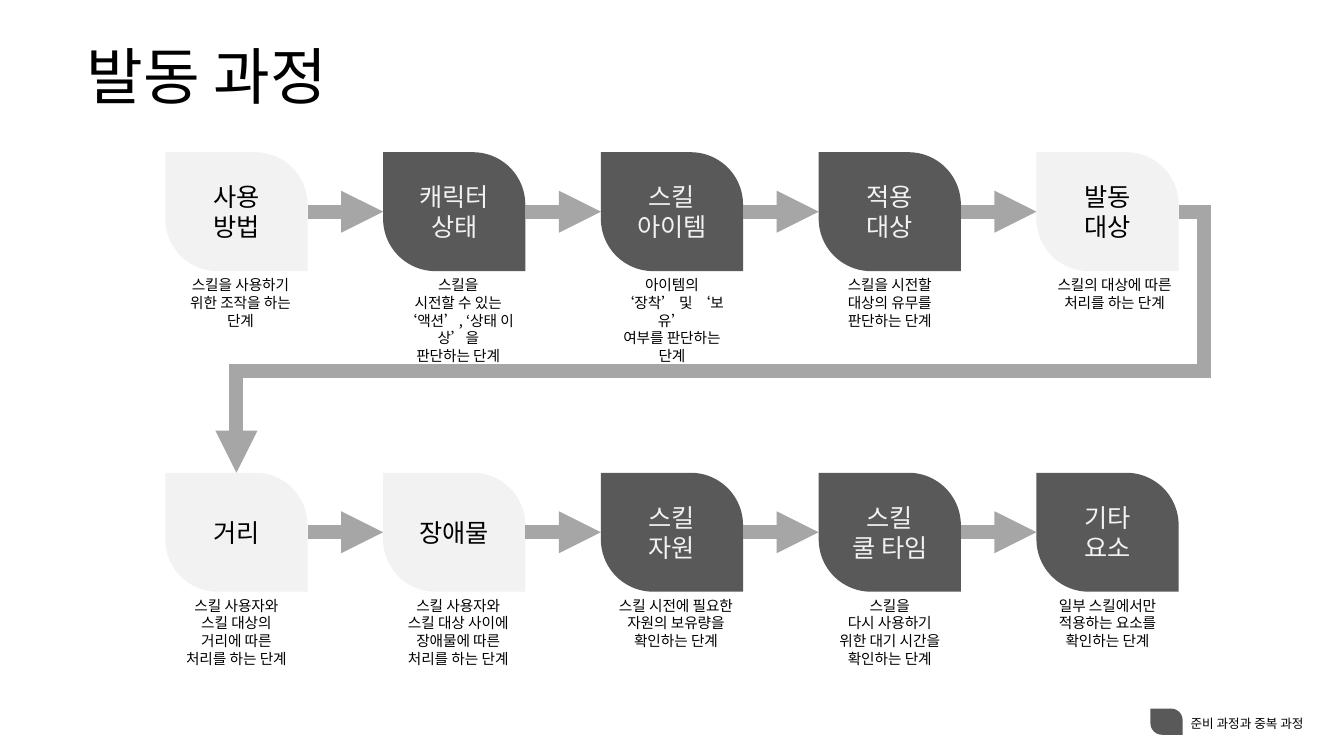
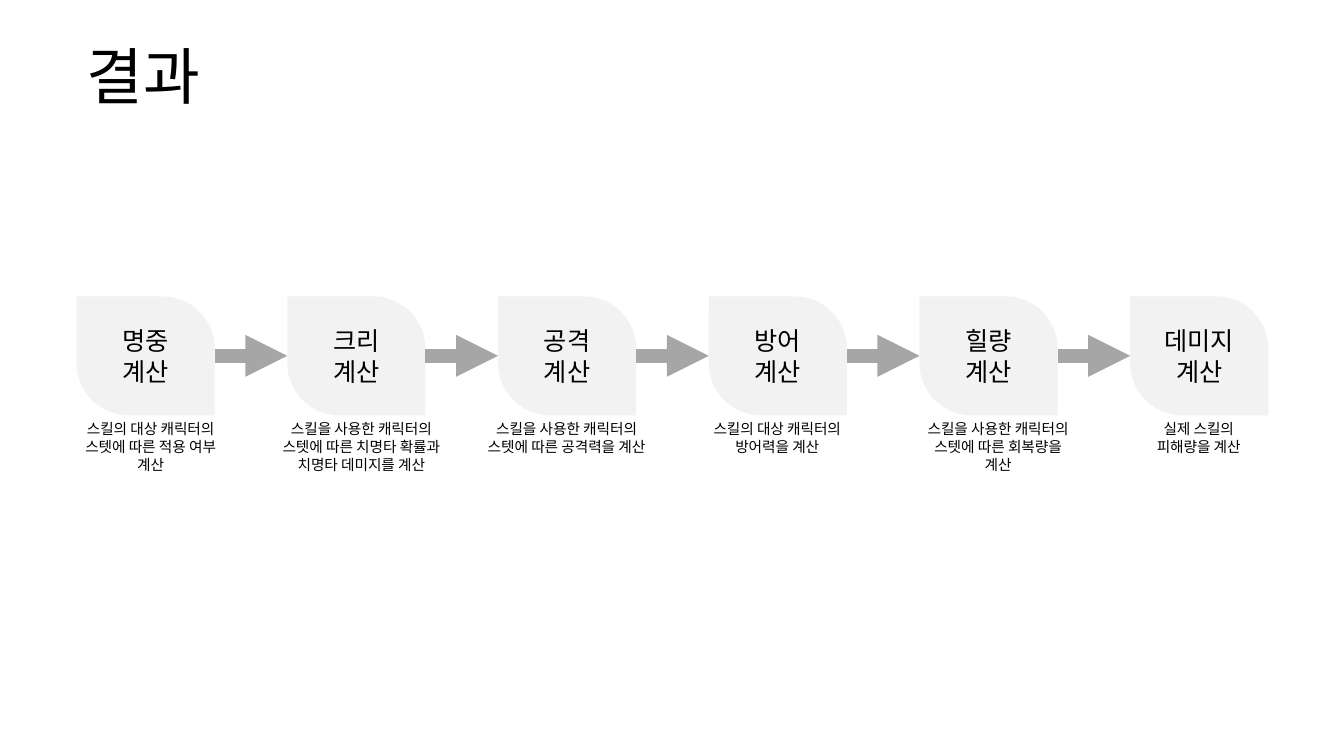
from dataclasses import dataclass

from lxml.etree import SubElement
from pptx import Presentation
from pptx.dml.color import RGBColor
from pptx.enum.shapes import MSO_CONNECTOR, MSO_SHAPE
from pptx.enum.text import MSO_ANCHOR, MSO_AUTO_SIZE, PP_ALIGN
from pptx.oxml.ns import qn
from pptx.util import Inches, Pt


@dataclass(frozen=True)
class Theme:
    """Colours, font and type sizes of the deck."""
    font: str = "Noto Sans CJK KR"
    ink: str = "000000"
    light: str = "F2F2F2"
    dark: str = "595959"
    arrow: str = "A6A6A6"
    title: float = 44
    label: float = 18
    caption: float = 10.5
    legend: float = 9
    stroke: float = 10
    corner: float = 0.44


@dataclass(frozen=True)
class Grid:
    """Columns and rows that place the steps, in inches."""
    left: float
    top: float
    col: float
    row: float
    w: float
    h: float = 1.18
    caption_dx: float = 0

    def x(self, c):
        """Left edge of a column."""
        return self.left + c * self.col

    def y(self, r):
        """Top edge of a row."""
        return self.top + r * self.row

    def mid(self, r):
        """Middle height of a row."""
        return self.y(r) + self.h / 2


class Deck:
    """Holds the theme and the current slide, and draws its elements."""

    def __init__(self, theme):
        """Start an empty widescreen presentation."""
        self.theme = theme
        self.prs = Presentation()
        self.prs.slide_width = Inches(13.33)
        self.prs.slide_height = Inches(7.5)

    def slide(self, title):
        """Add a blank slide with its title."""
        self.s = self.prs.slides.add_slide(self.prs.slide_layouts[6])
        sp = self.text(0.76, 0.32, 11.81, 0.94, [title], self.theme.title)
        sp.text_frame.vertical_anchor = MSO_ANCHOR.MIDDLE
        sp.text_frame.paragraphs[0].line_spacing = 0.9

    def add_lines(self, tf, lines, size, color, align):
        """Fill a text frame, one paragraph a line."""
        tf.word_wrap = True
        for i, line in enumerate(lines):
            p = tf.add_paragraph() if i else tf.paragraphs[0]
            p.alignment = align
            r = p.add_run()
            r.text = line
            r.font.size = Pt(size)
            r.font.color.rgb = RGBColor.from_string(color)
            r.font.name = self.theme.font
            SubElement(r._r.get_or_add_rPr(), qn("a:ea"), typeface=self.theme.font)

    def text(self, x, y, w, h, lines, size, align=PP_ALIGN.LEFT):
        """Add a text box."""
        sp = self.s.shapes.add_textbox(*map(Inches, (x, y, w, h)))
        self.add_lines(sp.text_frame, lines, size, self.theme.ink, align)
        return sp

    def leaf(self, x, y, w, h, dark, lines=()):
        """Add a leaf shape with a centred label."""
        t = self.theme
        sp = self.s.shapes.add_shape(MSO_SHAPE.ROUND_2_DIAG_RECTANGLE, *map(Inches, (x, y, w, h)))
        sp.adjustments[0], sp.adjustments[1] = 0, t.corner
        sp.shadow.inherit = False
        sp.fill.solid()
        sp.fill.fore_color.rgb = RGBColor.from_string(t.dark if dark else t.light)
        sp.line.fill.background()
        sp.text_frame.vertical_anchor = MSO_ANCHOR.MIDDLE
        self.add_lines(sp.text_frame, lines, t.label, t.light if dark else t.ink, PP_ALIGN.CENTER)
        return sp

    def arrow_line(self, sp):
        """Give a line the arrow stroke and head."""
        sp.line.width = Pt(self.theme.stroke)
        sp.line.color.rgb = RGBColor.from_string(self.theme.arrow)
        ln = sp.line._get_or_add_ln()
        SubElement(ln, qn("a:miter"), lim="800000")
        SubElement(ln, qn("a:tailEnd"), type="triangle")

    def arrow(self, x1, x2, y):
        """Add a level arrow between two steps."""
        sp = self.s.shapes.add_connector(MSO_CONNECTOR.STRAIGHT, *map(Inches, (x1, y, x2, y)))
        self.arrow_line(sp)
        SubElement(sp._element.spPr, qn("a:effectLst"))

    def bent_arrow(self, points):
        """Add an arrow that runs through several points."""
        start, *rest = [(Inches(x), Inches(y)) for x, y in points]
        fb = self.s.shapes.build_freeform(*start)
        fb.add_line_segments(rest, close=False)
        sp = fb.convert_to_shape()
        sp.fill.background()
        sp.shadow.inherit = False
        self.arrow_line(sp)

    def flow(self, grid, row, steps):
        """Draw a row of steps with captions and arrows."""
        y = grid.y(row)
        for c, (label, caption, width, dark) in enumerate(steps):
            x = grid.x(c)
            self.leaf(x, y, grid.w, grid.h, dark, label)
            sp = self.text(x + grid.caption_dx, y + grid.h, width, 0.09 + 0.18 * len(caption),
                           caption, self.theme.caption, PP_ALIGN.CENTER)
            sp.text_frame.auto_size = MSO_AUTO_SIZE.SHAPE_TO_FIT_TEXT
            if c:
                self.arrow(grid.x(c - 1) + grid.w, x, grid.mid(row))

    def legend(self, label):
        """Add the key to the dark steps."""
        key = self.leaf(11.41, 7.03, 0.32, 0.26, True)
        sp = self.text(11.71, 7.05, 1.49, 0.25, [label], self.theme.legend)
        self.s.shapes.add_group_shape([key, sp])


CHECKS = [
    (["사용", "방법"], ["스킬을 사용하기", "위한 조작을 하는", "단계"], 1.49, False),
    (["캐릭터", "상태"], ["스킬을", "시전할 수 있는", "‘액션’, ‘상태 이상’을", "판단하는 단계"], 1.49, True),
    (["스킬", "아이템"], ["아이템의", "‘장착’ 및 ‘보유’", "여부를 판단하는 단계"], 1.41, True),
    (["적용", "대상"], ["스킬을 시전할", "대상의 유무를", "판단하는 단계"], 1.41, True),
    (["발동", "대상"], ["스킬의 대상에 따른", "처리를 하는 단계"], 1.55, False),
]
CONDITIONS = [
    (["거리"], ["스킬 사용자와", "스킬 대상의", "거리에 따른", "처리를 하는 단계"], 1.41, False),
    (["장애물"], ["스킬 사용자와", "스킬 대상 사이에", "장애물에 따른", "처리를 하는 단계"], 1.49, False),
    (["스킬", "자원"], ["스킬 시전에 필요한 자원의 보유량을", "확인하는 단계"], 1.49, True),
    (["스킬", "쿨 타임"], ["스킬을", "다시 사용하기", "위한 대기 시간을", "확인하는 단계"], 1.41, True),
    (["기타", "요소"], ["일부 스킬에서만 적용하는 요소를", "확인하는 단계"], 1.41, True),
]
RESULTS = [
    (["명중", "계산"], ["스킬의 대상 캐릭터의", "스텟에 따른 적용 여부", "계산"], 2.07, False),
    (["크리", "계산"], ["스킬을 사용한 캐릭터의", "스텟에 따른 치명타 확률과", "치명타 데미지를 계산"], 2.07, False),
    (["공격", "계산"], ["스킬을 사용한 캐릭터의", "스텟에 따른 공격력을 계산"], 1.96, False),
    (["방어", "계산"], ["스킬의 대상 캐릭터의", "방어력을 계산"], 1.96, False),
    (["힐량", "계산"], ["스킬을 사용한 캐릭터의", "스텟에 따른 회복량을", "계산"], 2.16, False),
    (["데미지", "계산"], ["실제 스킬의", "피해량을 계산"], 1.96, False),
]


def main():
    """Build and save the deck."""
    deck = Deck(Theme())

    deck.slide("발동 과정")
    grid = Grid(left=1.64, top=1.51, col=2.16, row=3.18, w=1.41)
    deck.flow(grid, 0, CHECKS)
    deck.flow(grid, 1, CONDITIONS)
    right, turn, first = grid.x(4) + grid.w, 3.68, grid.x(0) + grid.w / 2
    deck.bent_arrow([(right, grid.mid(0)), (right + 0.25, grid.mid(0)),
                     (right + 0.25, turn), (first, turn), (first, grid.y(1))])
    deck.legend("준비 과정과 중복 과정")

    deck.slide("결과")
    deck.flow(Grid(left=0.76, top=2.94, col=2.09, row=0, w=1.37, caption_dx=-0.3), 0, RESULTS)

    deck.prs.save("out.pptx")


if __name__ == "__main__":
    main()
